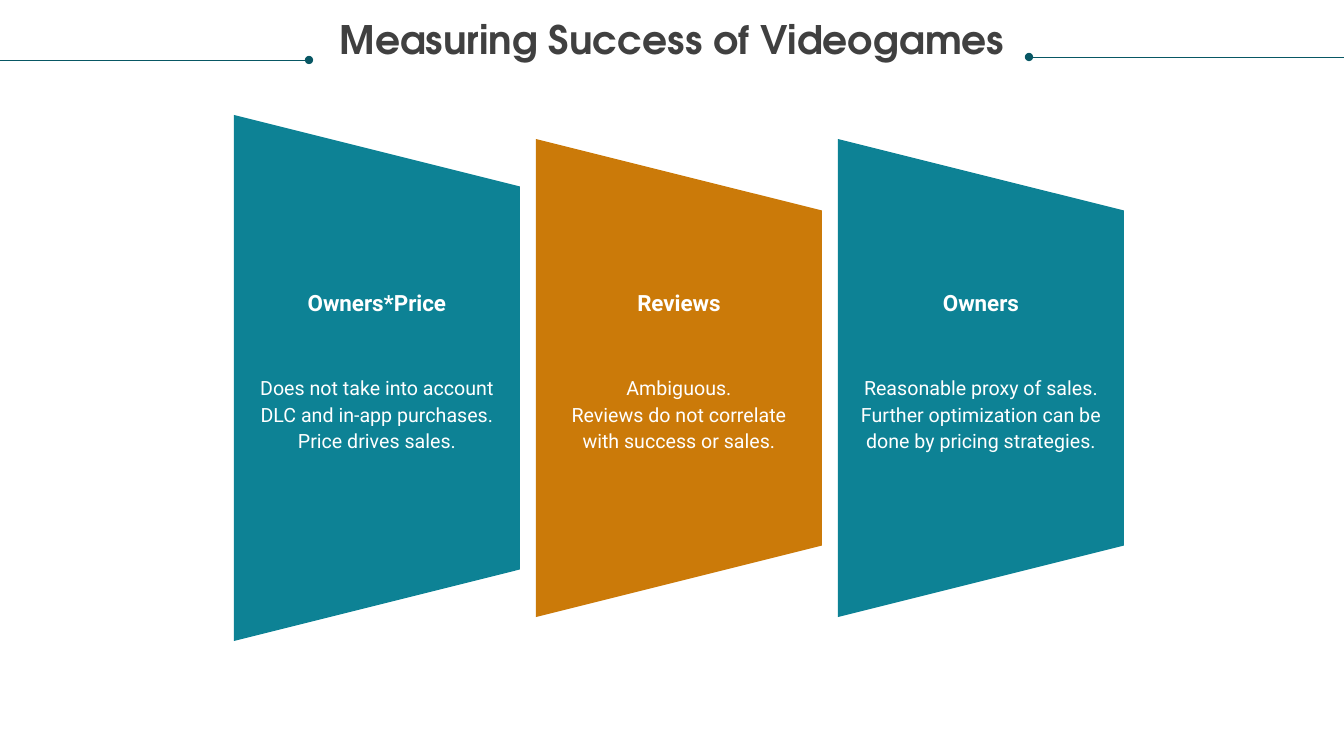
from lxml import etree
from pptx import Presentation
from pptx.dml.color import RGBColor
from pptx.enum.shapes import MSO_CONNECTOR as Link, MSO_SHAPE as Form
from pptx.enum.text import MSO_ANCHOR as Anchor, PP_ALIGN as Align
from pptx.oxml.ns import qn
from pptx.util import Pt

SCALE = 914400 / 100.8
TEAL = RGBColor(0x0D, 0x82, 0x95)
DARK = RGBColor(0x08, 0x57, 0x64)
AMBER = RGBColor(0xCB, 0x7A, 0x09)
GREY = RGBColor(0x40, 0x40, 0x40)
WHITE = RGBColor(0xFF, 0xFF, 0xFF)


def px(*sizes):
    return [round(size * SCALE) for size in sizes]


def write(box, lines, size, face, color, bold, pitch):
    frame = slide.shapes.add_textbox(*px(*box)).text_frame
    frame.word_wrap = True
    frame.vertical_anchor = Anchor.TOP
    frame.margin_left = frame.margin_right = 0
    frame.margin_top = frame.margin_bottom = 0
    for i, line in enumerate(lines):
        para = frame.paragraphs[0] if i == 0 else frame.add_paragraph()
        para.alignment = Align.CENTER
        para.line_spacing = pitch
        run = para.add_run()
        run.text = line
        run.font.size = Pt(size)
        run.font.name = face
        run.font.bold = bold
        run.font.color.rgb = color


deck = Presentation()
deck.slide_width, deck.slide_height = px(1344, 756)
slide = deck.slides.add_slide(deck.slide_layouts[6])

write((25, 21, 1294, 86), ["Measuring Success of Videogames"],
      28, "TeX Gyre Adventor", GREY, True, 0.9)

for start, end, top in [(1029, 1344, 57), (309, 0, 60)]:
    rule = slide.shapes.add_connector(Link.STRAIGHT, *px(start, top, end, top))
    rule.line.color.rgb = DARK
    rule.line.width = Pt(0.5)
    etree.SubElement(rule.line._get_or_add_ln(), qn("a:headEnd"), type="oval")
    etree.SubElement(rule._element.spPr, qn("a:effectLst"))

panels = [
    ("Owners*Price", 526, TEAL,
     ["Does not take into account DLC and in-app purchases.",
      "Price drives sales."]),
    ("Reviews", 478, AMBER,
     ["Ambiguous.", "Reviews do not correlate with success or sales."]),
    ("Owners", 478, TEAL,
     ["Reasonable proxy of sales.",
      "Further optimization can be done by pricing strategies."]),
]
WIDE = 286
MID = 378

for i, (head, tall, color, body) in enumerate(panels):
    axis = 377 + 302 * i
    panel = slide.shapes.add_shape(
        Form.TRAPEZOID,
        *px(axis - tall // 2, MID - WIDE // 2, tall, WIDE))
    panel.rotation = 90
    panel.shadow.inherit = False
    panel.fill.solid()
    panel.fill.fore_color.rgb = color
    panel.line.fill.background()
    write((axis - 96, 289, 192, 27), [head], 16, "Roboto", WHITE, True, 1.0)
    write((axis - 123, 373, 246, 79), body, 14, "Roboto", WHITE, False, Pt(19))

deck.save("out.pptx")
